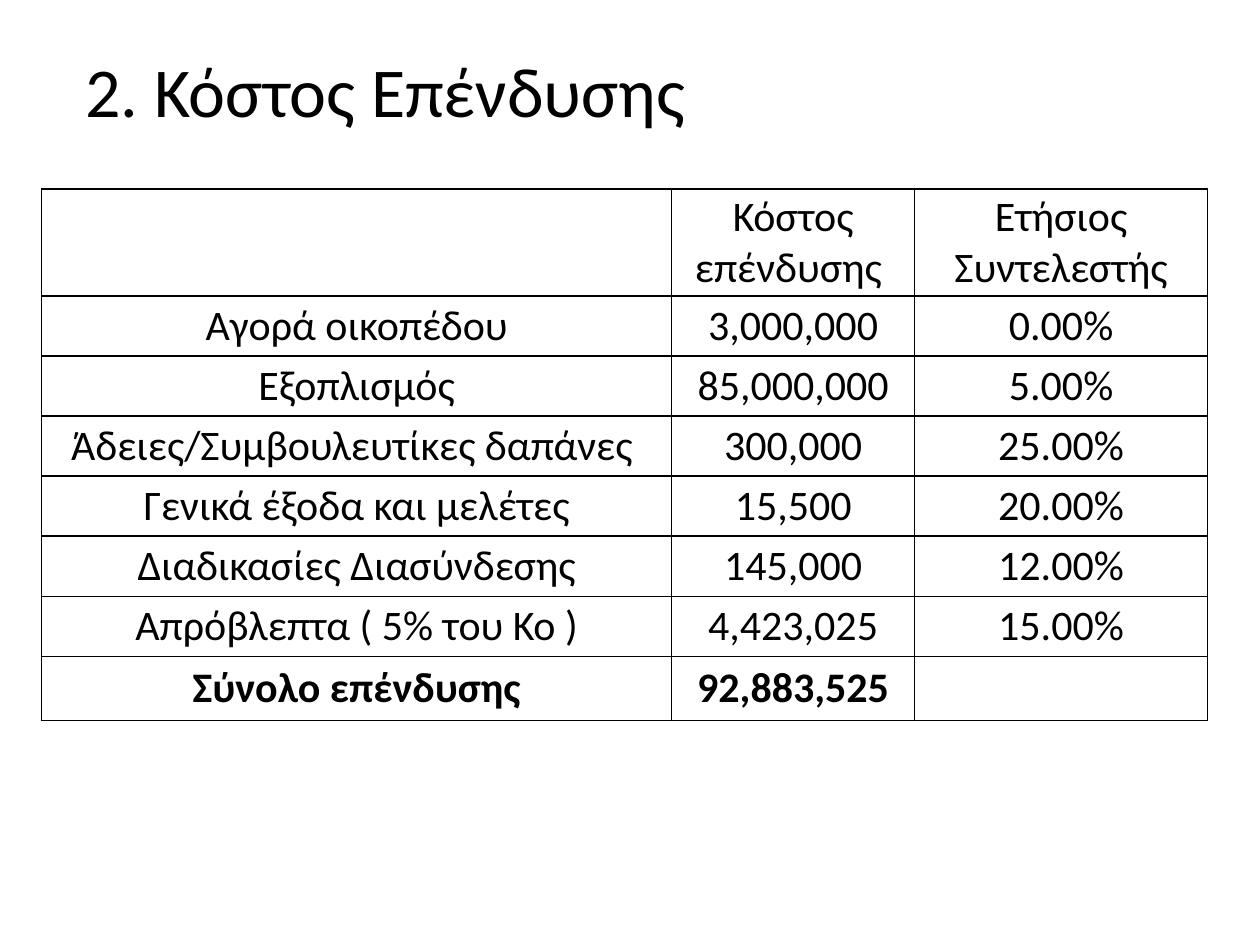
"""Build the investment cost slide: a title above a bordered cost table."""
import lxml.etree
import pptx
import pptx.dml.color
import pptx.enum.text
import pptx.oxml.ns
import pptx.util
from pptx.util import Cm

TITLE = "2. Κόστος Επένδυσης"
HEADER = ("", "Κόστος επένδυσης ", "Ετήσιος Συντελεστής")
COSTS = [
    ("Αγορά οικοπέδου", "3,000,000", "0.00%"),
    ("Εξοπλισμός", "85,000,000", "5.00%"),
    ("Άδειες/Συμβουλευτίκες δαπάνες ", "300,000", "25.00%"),
    ("Γενικά έξοδα και μελέτες", "15,500", "20.00%"),
    ("Διαδικασίες Διασύνδεσης", "145,000", "12.00%"),
    ("Απρόβλεπτα ( 5% του Κο )", "4,423,025", "15.00%"),
]
TOTAL = ("Σύνολο επένδυσης", "92,883,525", "")

THEME = {
    "font": "Calibri",
    "title_size": 40,
    "table_size": 24,
    "ink": "000000",
    "paper": "FFFFFF",
    "border_width": 1,
}
COLUMN_WIDTHS = [12.7, 4.9, 5.9]
ROW_HEIGHTS = [2.16] + [1.21] * len(COSTS) + [1.29]


def style_paragraph(para, size, bold, alignment):
    """Align a paragraph and format its runs."""
    para.alignment = alignment
    for span in para.runs:
        span.font.name = THEME["font"]
        span.font.size = pptx.util.Pt(size)
        span.font.bold = bold
        span.font.color.rgb = pptx.dml.color.RGBColor.from_string(THEME["ink"])


def add_borders(cell):
    """Draw a solid line on all four sides of a cell."""
    name = pptx.oxml.ns.qn
    properties = cell._tc.get_or_add_tcPr()
    width = str(pptx.util.Pt(THEME["border_width"]))
    for side in ("a:lnL", "a:lnR", "a:lnT", "a:lnB"):
        line = lxml.etree.SubElement(properties, name(side), w=width)
        fill = lxml.etree.SubElement(line, name("a:solidFill"))
        lxml.etree.SubElement(fill, name("a:srgbClr"), val=THEME["ink"])


def fill_cell(cell, text, bold):
    """Set the text, borders and fill of a cell."""
    cell.text_frame.text = text
    cell.vertical_anchor = pptx.enum.text.MSO_ANCHOR.MIDDLE
    cell.margin_left = cell.margin_right = cell.margin_top = cell.margin_bottom = 0
    style_paragraph(cell.text_frame.paragraphs[0], THEME["table_size"], bold,
                    pptx.enum.text.PP_ALIGN.CENTER)
    add_borders(cell)
    cell.fill.solid()
    cell.fill.fore_color.rgb = pptx.dml.color.RGBColor.from_string(THEME["paper"])


def add_title(page):
    """Place and format the slide title."""
    box = page.shapes.title
    box.left, box.top, box.width, box.height = Cm(1.47), Cm(0.84), Cm(13.54), Cm(1.96)
    box.text_frame.text = TITLE
    box.text_frame.word_wrap = False
    box.text_frame.vertical_anchor = pptx.enum.text.MSO_ANCHOR.TOP
    style_paragraph(box.text_frame.paragraphs[0], THEME["title_size"], False,
                    pptx.enum.text.PP_ALIGN.LEFT)


def add_cost_table(page):
    """Add the cost table with its header and total rows."""
    rows = [HEADER, *COSTS, TOTAL]
    table = page.shapes.add_table(
        len(rows), len(HEADER), Cm(0.84), Cm(3.81),
        Cm(sum(COLUMN_WIDTHS)), Cm(sum(ROW_HEIGHTS))).table
    table.first_row = table.horz_banding = False
    for column, width in zip(table.columns, COLUMN_WIDTHS):
        column.width = Cm(width)
    for row, height, texts in zip(table.rows, ROW_HEIGHTS, rows):
        row.height = Cm(height)
        for cell, text in zip(row.cells, texts):
            fill_cell(cell, text, texts is TOTAL)


def main():
    """Create the deck and save it."""
    deck = pptx.Presentation()
    deck.slide_width, deck.slide_height = Cm(25.4), Cm(19.05)
    page = deck.slides.add_slide(deck.slide_layouts.get_by_name("Title Only"))
    add_title(page)
    add_cost_table(page)
    deck.save("out.pptx")


if __name__ == "__main__":
    main()
